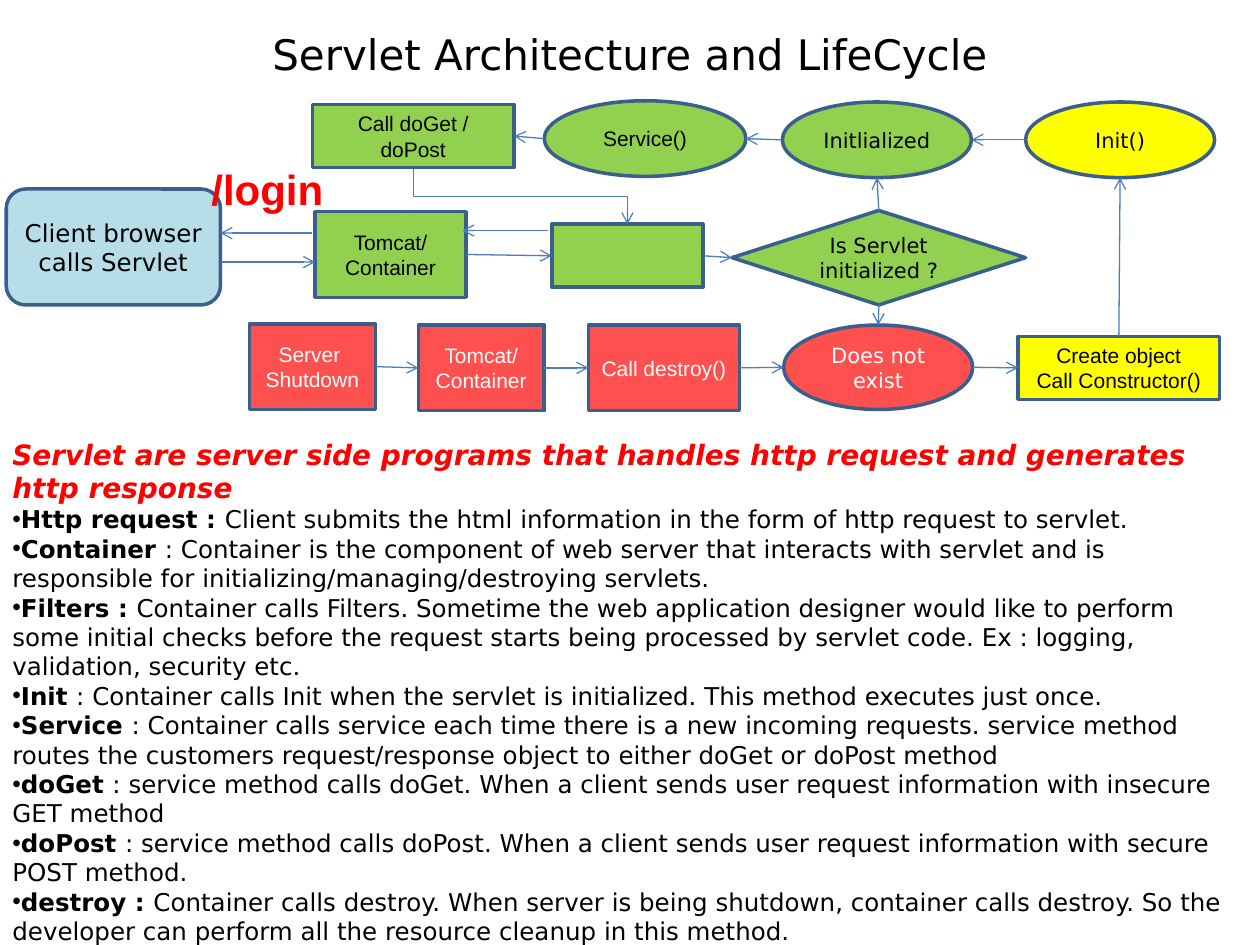
from lxml.etree import SubElement
from pptx import Presentation
from pptx.dml.color import RGBColor
from pptx.enum.shapes import MSO_CONNECTOR, MSO_SHAPE
from pptx.enum.text import MSO_ANCHOR, MSO_AUTO_SIZE, PP_ALIGN
from pptx.oxml.ns import qn
from pptx.util import Inches, Pt

BLACK = RGBColor(0x00, 0x00, 0x00)
WHITE = RGBColor(0xFF, 0xFF, 0xFF)
RED = RGBColor(0xFF, 0x00, 0x00)
GREEN = RGBColor(0x92, 0xD0, 0x50)
YELLOW = RGBColor(0xFF, 0xFF, 0x00)
CORAL = RGBColor(0xFF, 0x50, 0x50)
PALE_BLUE = RGBColor(0xB7, 0xDE, 0xE8)
OUTLINE = RGBColor(0x3A, 0x5F, 0x8C)
ARROW = RGBColor(0x4B, 0x7E, 0xBC)

SANS = "DejaVu Sans"
ARIAL = "Arial"
TOP, LEFT, BOTTOM, RIGHT = range(4)

HEADLINE = ("Servlet are server side programs that handles http request "
            "and generates http response")
DEFINITIONS = [
    ("Http request : ", "Client submits the html information in the form of http request to servlet."),
    ("Container ", ": Container is the component of web server that interacts with servlet and is "
     "responsible for initializing/managing/destroying servlets."),
    ("Filters : ", "Container calls Filters. Sometime the web application designer would like to "
     "perform some initial checks before the request starts being processed by servlet code. "
     "Ex : logging, validation, security etc."),
    ("Init ", ": Container calls Init when the servlet is initialized. This method executes just once."),
    ("Service ", ": Container calls service each time there is a new incoming requests. service method "
     "routes the customers request/response object to either doGet or doPost method"),
    ("doGet ", ": service method calls doGet. When a client sends user request information with "
     "insecure GET method"),
    ("doPost ", ": service method calls doPost. When a client sends user request information with "
     "secure POST method."),
    ("destroy : ", "Container calls destroy. When server is being shutdown, container calls destroy. "
     "So the developer can perform all the resource cleanup in this method."),
]


class SlideBuilder:
    """Holds the diagram style and the slide being drawn."""

    def __init__(self, slide):
        self.slide = slide
        self.shapes = slide.shapes

    def style(self, run, size, font=SANS, color=BLACK, bold=False, italic=False):
        run.font.size = Pt(size)
        run.font.name = font
        run.font.color.rgb = color
        run.font.bold = bold
        run.font.italic = italic

    def title(self, text, left, top, width, height):
        title = self.shapes.title
        title.left, title.top = Inches(left), Inches(top)
        title.width, title.height = Inches(width), Inches(height)
        text_frame = title.text_frame
        text_frame.text = text
        text_frame.vertical_anchor = MSO_ANCHOR.MIDDLE
        text_frame.paragraphs[0].alignment = PP_ALIGN.CENTER
        self.style(text_frame.paragraphs[0].runs[0], 24)

    def node(self, kind, text, left, top, width, height, fill,
             font=ARIAL, color=BLACK, size=12):
        shape = self.shapes.add_shape(
            kind, Inches(left), Inches(top), Inches(width), Inches(height))
        shape.shadow.inherit = False
        shape.fill.solid()
        shape.fill.fore_color.rgb = fill
        shape.line.color.rgb = OUTLINE
        shape.line.width = Pt(2)
        text_frame = shape.text_frame
        text_frame.text = text
        text_frame.word_wrap = True
        text_frame.vertical_anchor = MSO_ANCHOR.MIDDLE
        for paragraph in text_frame.paragraphs:
            paragraph.alignment = PP_ALIGN.CENTER
            for run in paragraph.runs:
                self.style(run, size, font, color)
        return shape

    def text_box(self, left, top, width, height):
        text_frame = self.shapes.add_textbox(
            Inches(left), Inches(top), Inches(width), Inches(height)).text_frame
        text_frame.word_wrap = True
        text_frame.auto_size = MSO_AUTO_SIZE.SHAPE_TO_FIT_TEXT
        return text_frame

    def label(self, text, left, top, width, height, **style):
        text_frame = self.text_box(left, top, width, height)
        text_frame.text = text
        self.style(text_frame.paragraphs[0].runs[0], **style)
        return text_frame

    def definition(self, text_frame, term, meaning):
        paragraph = text_frame.add_paragraph()
        properties = paragraph._p.get_or_add_pPr()
        SubElement(properties, qn("a:buFont"), typeface=ARIAL)
        SubElement(properties, qn("a:buChar"), char="•")
        for text, bold in ((term, True), (meaning, False)):
            run = paragraph.add_run()
            run.text = text
            self.style(run, 14, bold=bold)

    def arrow(self, start, end, kind=MSO_CONNECTOR.STRAIGHT):
        connector = self.shapes.add_connector(
            kind, *(Inches(value) for value in start + end))
        connector.line.color.rgb = ARROW
        connector.line.width = Pt(0.75)
        properties = connector._element.spPr
        SubElement(properties.find(qn("a:ln")), qn("a:tailEnd"), type="arrow")
        SubElement(properties, qn("a:effectLst"))
        return connector

    def side_point(self, shape, side):
        across, down = {TOP: (0.5, 0), LEFT: (0, 0.5),
                        BOTTOM: (0.5, 1), RIGHT: (1, 0.5)}[side]
        return ((shape.left + shape.width * across) / Inches(1),
                (shape.top + shape.height * down) / Inches(1))

    def link(self, source, source_side, target, target_side):
        connector = self.arrow(self.side_point(source, source_side),
                               self.side_point(target, target_side))
        # Ellipses number their connection sites differently
        if source.auto_shape_type != MSO_SHAPE.OVAL:
            connector.begin_connect(source, source_side)
        if target.auto_shape_type != MSO_SHAPE.OVAL:
            connector.end_connect(target, target_side)


def main():
    presentation = Presentation()
    presentation.slide_width, presentation.slide_height = Inches(10), Inches(7.5)
    slide = presentation.slides.add_slide(presentation.slide_layouts[5])
    builder = SlideBuilder(slide)
    node, link = builder.node, builder.link
    box, oval = MSO_SHAPE.RECTANGLE, MSO_SHAPE.OVAL

    builder.title("Servlet Architecture and LifeCycle", 0.5, 0.04, 9, 0.78)

    # Top row: servicing the request
    call_method = node(box, "Call doGet / doPost", 2.48, 0.83, 1.6, 0.5, GREEN)
    service = node(oval, "Service()", 4.32, 0.8, 1.6, 0.6, GREEN)
    initialized = node(oval, "Initlialized", 6.21, 0.81, 1.5, 0.6, GREEN, SANS)
    init = node(oval, "Init()", 8.14, 0.81, 1.5, 0.6, YELLOW, SANS)

    # Middle row: from the browser to the servlet check
    node(MSO_SHAPE.ROUNDED_RECTANGLE, "Client browser calls Servlet",
         0.05, 1.5, 1.7, 0.92, PALE_BLUE, SANS, size=14)
    container = node(box, "Tomcat/\nContainer", 2.5, 1.68, 1.2, 0.68, GREEN)
    filters = node(box, "", 4.38, 1.78, 1.2, 0.5, GREEN)
    check = node(MSO_SHAPE.DIAMOND, "Is Servlet initialized ?",
                 5.81, 1.67, 2.33, 0.75, GREEN, SANS)

    # Bottom row: shutdown and creation
    shutdown = node(box, "Server \nShutdown", 1.98, 2.57, 1, 0.68, CORAL, color=WHITE)
    stopping = node(box, "Tomcat/\nContainer", 3.32, 2.58, 1, 0.68, CORAL, color=WHITE)
    destroy = node(box, "Call destroy()", 4.67, 2.58, 1.2, 0.68, CORAL, color=WHITE)
    missing = node(oval, "Does not exist", 6.22, 2.58, 1.5, 0.67, CORAL, SANS, WHITE)
    create = node(box, "Create object\nCall Constructor()", 8.08, 2.67, 1.6, 0.5, YELLOW)

    # Arrows between the middles of sides
    for right, left in ((init, initialized), (initialized, service), (service, call_method)):
        link(right, LEFT, left, RIGHT)
    for left, right in ((container, filters), (filters, check), (shutdown, stopping),
                        (stopping, destroy), (destroy, missing), (missing, create)):
        link(left, RIGHT, right, LEFT)
    link(check, TOP, initialized, BOTTOM)
    link(check, BOTTOM, missing, TOP)
    link(create, TOP, init, BOTTOM)

    # Request and response arrows
    builder.arrow((1.75, 2.08), (2.5, 2.08))
    builder.arrow((2.48, 1.85), (1.75, 1.85))
    builder.arrow((4.35, 1.83), (3.67, 1.83))

    # Elbow from the method call down to the filters, turned to leave vertically
    elbow = builder.arrow((4.35, 0.71), (3.91, 2.41), MSO_CONNECTOR.ELBOW)
    elbow._element.spPr.find(qn("a:xfrm")).set("rot", str(270 * 60000))

    # Explanations and the request address
    body = builder.label(HEADLINE, 0, 3.42, 10, 4.17,
                         size=16, color=RED, bold=True, italic=True)
    for term, meaning in DEFINITIONS:
        builder.definition(body, term, meaning)
    builder.label("/login", 1.58, 1.25, 1.5, 0.5,
                  size=24, font=ARIAL, color=RED, bold=True)

    presentation.save("out.pptx")


if __name__ == "__main__":
    main()
